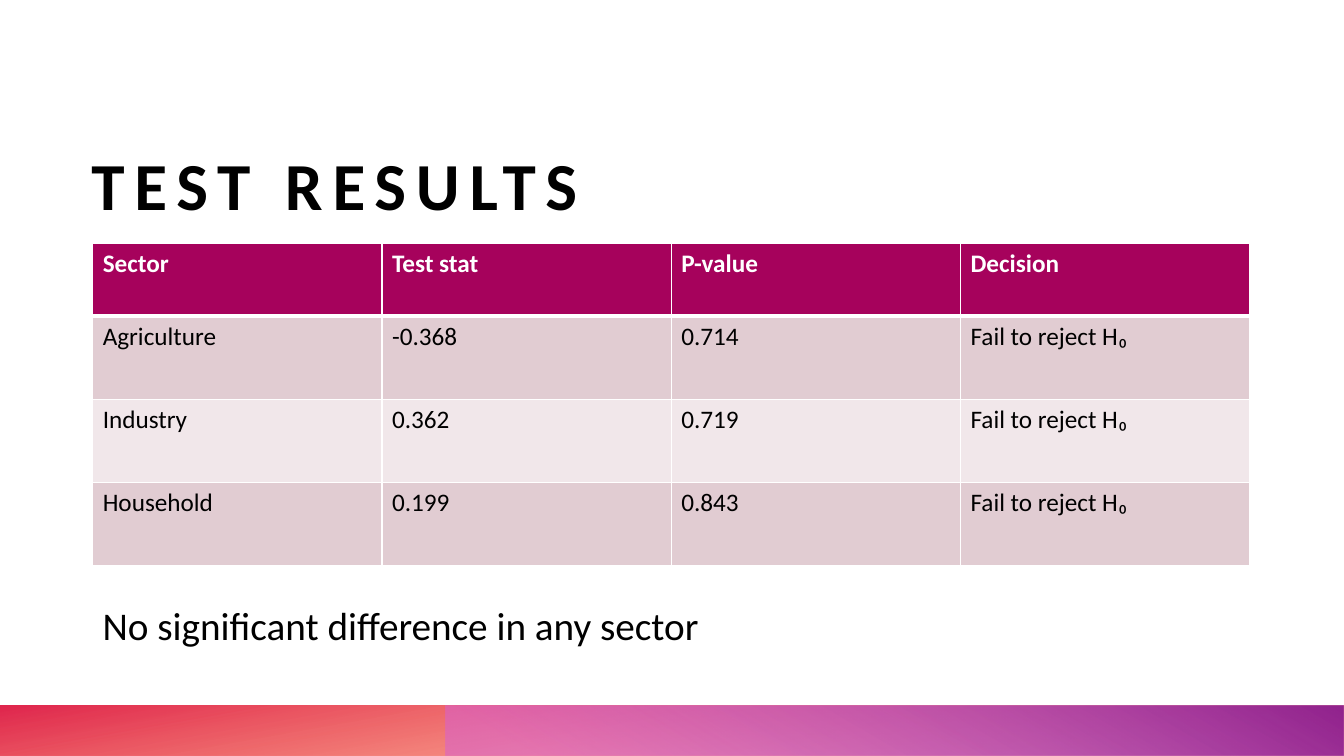
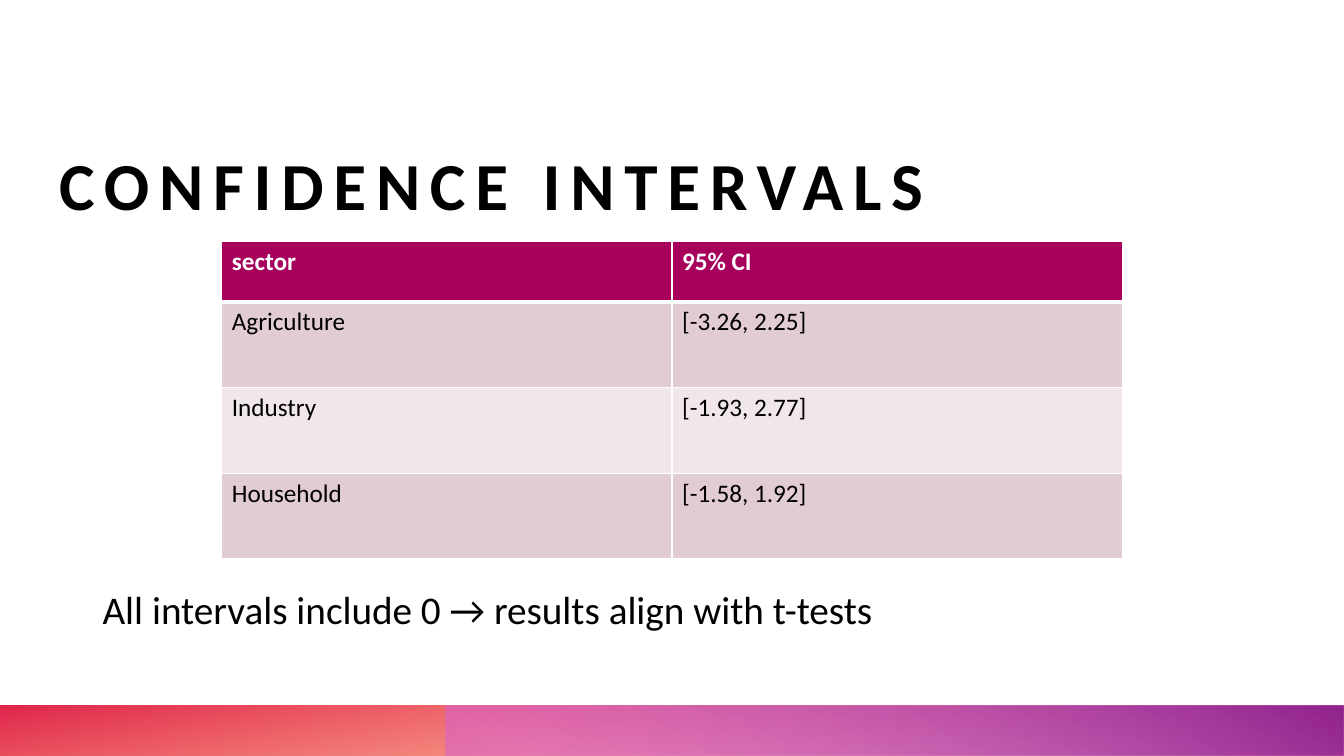
"""Build two slides of sector test results with a shared title, table and band style."""
from dataclasses import dataclass

from lxml import etree
from pptx import Presentation
from pptx.dml.color import RGBColor
from pptx.enum.shapes import MSO_SHAPE
from pptx.enum.text import MSO_ANCHOR, MSO_AUTO_SIZE, PP_ALIGN
from pptx.oxml.ns import qn
from pptx.util import Inches, Pt

RECTANGLE = MSO_SHAPE.RECTANGLE
ANCHOR_BOTTOM = MSO_ANCHOR.BOTTOM
NO_AUTOFIT = MSO_AUTO_SIZE.NONE
ALIGN_LEFT = PP_ALIGN.LEFT

SLIDE_WIDTH, SLIDE_HEIGHT = Inches(13.33), Inches(7.5)
TITLE_ONLY = 5
FONT = "Calibri"
BLACK, WHITE = "000000", "FFFFFF"
HEADER_FILL = "A6025C"
ROW_FILLS = ("F1E7EA", "E1CCD2")
THIN, THICK = 1, 3


@dataclass(frozen=True)
class Area:
    """A rectangle in percent of the slide's width and height."""
    left: float
    top: float
    width: float
    height: float

    def lengths(self) -> tuple[int, int, int, int]:
        """Return left, top, width and height as slide lengths."""
        return (across(self.left), down(self.top), across(self.width), down(self.height))


@dataclass(frozen=True)
class Stop:
    """A gradient stop, all numbers in percent."""
    position: int
    color: str
    opacity: int = 100


@dataclass(frozen=True)
class Band:
    """A gradient strip at the foot of the slide."""
    area: Area
    stops: tuple[Stop, Stop]
    angle: int
    rotation: int = 0


@dataclass(frozen=True)
class Page:
    """The content and layout of one slide."""
    title: str
    title_area: Area
    note: str
    note_area: Area
    table_area: Area
    header_height: float
    rows: tuple[tuple[str, ...], ...]


BANDS = (
    Band(Area(0, 93.33, 100, 6.67), (Stop(14, "FE4A00", 28), Stop(100, "DA002F", 85)), 100, 180),
    Band(Area(33.12, 93.33, 66.88, 6.67), (Stop(9, "D861D4", 55), Stop(99, "92248E")), 240),
)

DECISION = "Fail to reject H₀"
PAGES = (
    Page(
        "TEST RESULTS", Area(6.8, 11.6, 88.4, 18),
        "No significant difference in any sector", Area(6.9, 77.6, 86.25, 12.5),
        Area(6.9, 32.2, 86.1, 42.6), 9.6,
        (
            ("Sector", "Test stat", "P-value", "Decision"),
            ("Agriculture", "-0.368", "0.714", DECISION),
            ("Industry", "0.362", "0.719", DECISION),
            ("Household", "0.199", "0.843", DECISION),
        ),
    ),
    Page(
        "CONFIDENCE INTERVALS", Area(4.4, 11.6, 90.7, 18),
        "All intervals include 0 → results align with t-tests", Area(6.9, 75.5, 88.05, 14.7),
        Area(16.5, 31.9, 67, 42.05), 8,
        (
            ("sector", "95% CI"),
            ("Agriculture", "[-3.26, 2.25]"),
            ("Industry", "[-1.93, 2.77]"),
            ("Household", "[-1.58, 1.92]"),
        ),
    ),
)


def across(percent: float) -> int:
    """Convert a share of the slide's width to a length."""
    return round(SLIDE_WIDTH * percent / 100)


def down(percent: float) -> int:
    """Convert a share of the slide's height to a length."""
    return round(SLIDE_HEIGHT * percent / 100)


def rgb(color: str) -> RGBColor:
    """Turn a hex string into a colour."""
    return RGBColor.from_string(color)


def place(shape, area: Area) -> None:
    """Move and size a shape to an area."""
    shape.left, shape.top, shape.width, shape.height = area.lengths()


def style_font(para, size: int, color: str, bold: bool = False) -> None:
    """Set the font of a whole paragraph."""
    font = para.font
    font.name, font.size, font.bold = FONT, Pt(size), bold
    font.color.rgb = rgb(color)


def draw_band(slide, band: Band) -> None:
    """Draw a mirrored strip with a partly transparent gradient."""
    shape = slide.shapes.add_shape(RECTANGLE, *band.area.lengths())
    shape.shadow.inherit = False
    shape.line.fill.background()
    shape.rotation = band.rotation
    shape.fill.gradient()
    shape.fill.gradient_angle = 0
    properties = shape.element.spPr
    properties.find(qn("a:xfrm")).set("flipH", "1")
    gradient = properties.find(qn("a:gradFill"))
    gradient.find(qn("a:lin")).set("ang", str(band.angle * 60000))
    stop_list = gradient.find(qn("a:gsLst"))
    for old_stop in list(stop_list):
        stop_list.remove(old_stop)
    for stop in band.stops:
        node = etree.SubElement(stop_list, qn("a:gs"), pos=str(stop.position * 1000))
        color = etree.SubElement(node, qn("a:srgbClr"), val=stop.color)
        etree.SubElement(color, qn("a:alpha"), val=str(stop.opacity * 1000))


def draw_title(slide, page: Page) -> None:
    """Fill and format the title placeholder."""
    title = slide.shapes.title
    place(title, page.title_area)
    frame = title.text_frame
    frame.text = page.title
    frame.auto_size = NO_AUTOFIT
    frame.vertical_anchor = ANCHOR_BOTTOM
    frame.margin_left = frame.margin_right = frame.margin_top = frame.margin_bottom = 0
    para = frame.paragraphs[0]
    para.alignment = ALIGN_LEFT
    style_font(para, 48, BLACK, True)
    para.runs[0].font._element.set("spc", "700")


def draw_note(slide, page: Page) -> None:
    """Write the conclusion under the table."""
    frame = slide.shapes.add_textbox(*page.note_area.lengths()).text_frame
    frame.word_wrap = True
    para = frame.paragraphs[0]
    para.text = page.note
    para.line_spacing = 1.2
    para.space_before = Pt(10)
    style_font(para, 28, BLACK)


def draw_borders(cell, top: int, bottom: int) -> None:
    """Give a cell white borders, with its own top and bottom widths."""
    properties = cell._tc.get_or_add_tcPr()
    sides = (("a:lnL", THIN), ("a:lnR", THIN), ("a:lnT", top), ("a:lnB", bottom))
    for index, (side, width) in enumerate(sides):
        line = etree.Element(qn(side), w=str(Pt(width)))
        fill = etree.SubElement(line, qn("a:solidFill"))
        etree.SubElement(fill, qn("a:srgbClr"), val=WHITE)
        properties.insert(index, line)


def draw_table(slide, page: Page) -> None:
    """Draw the table with a header row and alternating row fills."""
    row_count, column_count = len(page.rows), len(page.rows[0])
    area = page.table_area
    table = slide.shapes.add_table(row_count, column_count, *area.lengths()).table
    body_height = (area.height - page.header_height) / (row_count - 1)
    for row_index, texts in enumerate(page.rows):
        header = row_index == 0
        table.rows[row_index].height = down(page.header_height if header else body_height)
        for column_index, text in enumerate(texts):
            cell = table.cell(row_index, column_index)
            cell.text = text
            style_font(cell.text_frame.paragraphs[0], 18, WHITE if header else BLACK, header)
            cell.fill.solid()
            cell.fill.fore_color.rgb = rgb(HEADER_FILL if header else ROW_FILLS[row_index % 2])
            draw_borders(cell, THICK if row_index == 1 else THIN, THICK if header else THIN)


def main() -> None:
    """Build and save the deck."""
    deck = Presentation()
    deck.slide_width, deck.slide_height = SLIDE_WIDTH, SLIDE_HEIGHT
    for page in PAGES:
        slide = deck.slides.add_slide(deck.slide_layouts[TITLE_ONLY])
        for band in BANDS:
            draw_band(slide, band)
        draw_title(slide, page)
        draw_note(slide, page)
        draw_table(slide, page)
    deck.save("out.pptx")


if __name__ == "__main__":
    main()
